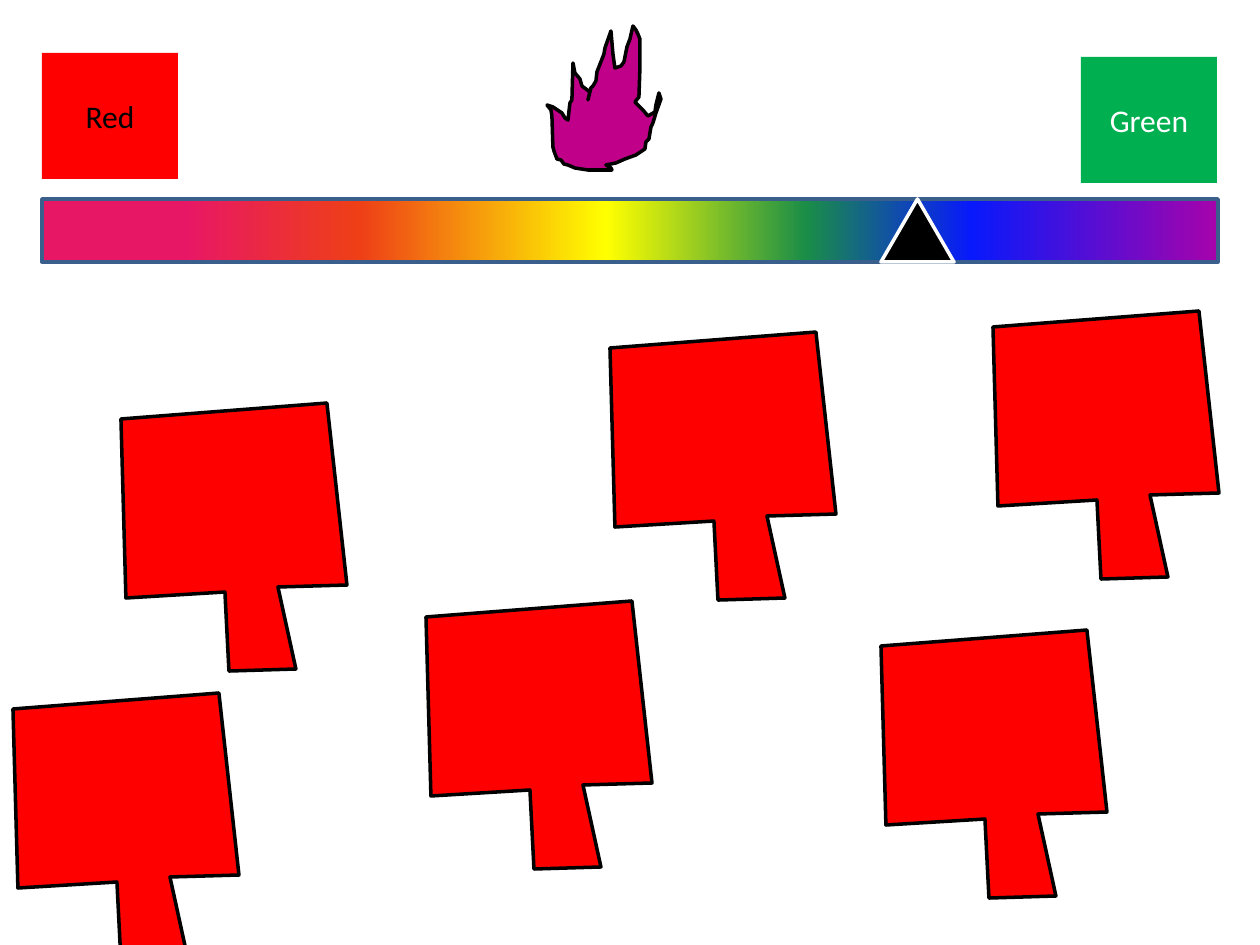
"""Build a colour slider slide with a flame and six red signs."""
from lxml.etree import SubElement as Sub
from pptx import Presentation
from pptx.dml.color import RGBColor as RGB
from pptx.enum.shapes import MSO_SHAPE as Kind
from pptx.enum.text import MSO_ANCHOR as Anchor, PP_ALIGN as Align
from pptx.oxml.ns import qn
from pptx.util import Pt

SCALE = 914400 / 126
SIZE = (1260, 945)
HUES = {"red": "FF0000", "green": "00B050", "black": "000000", "white": "FFFFFF",
        "edge": "3A5F8C", "flame": "C00089"}
CARDS = [("Red", (42, 53, 136, 126), "red", "black"),
         ("Green", (1081, 57, 136, 126), "green", "white")]
BAR = (42, 199, 1176, 63)
STOPS = [(0, "A603AB"), (21, "0819FB"), (35, "1A8D48"),
         (52, "FFFF00"), (73, "EE3F17"), (88, "E81766")]
MARK = (881, 199, 73, 63)
SIGN = [(0, 16), (5, 195), (104, 189), (108, 268),
        (175, 266), (157, 184), (226, 182), (206, 0)]
SPOTS = [(121, 403), (13, 693), (426, 601), (610, 332), (993, 311), (881, 630)]
FLAME = [
    (612, 170), (588, 170), (575, 168), (568, 165), (564, 164), (561, 160),
    (557, 159), (554, 151), (553, 147), (552, 116), (551, 110), (547, 105),
    (553, 107), (562, 113), (565, 118), (568, 120), (570, 103), (572, 100),
    (573, 63), (575, 73), (580, 79), (582, 86), (590, 92), (588, 100),
    (591, 88), (593, 86), (596, 81), (597, 72), (604, 54), (605, 48),
    (611, 31), (613, 54), (615, 68), (621, 66), (624, 62), (627, 47),
    (630, 39), (633, 26), (636, 30), (638, 34), (640, 39), (640, 68),
    (639, 97), (635, 102), (643, 110), (648, 116), (655, 112), (656, 105),
    (659, 93), (661, 99), (656, 113), (653, 123), (651, 127), (649, 139),
    (646, 142), (645, 149), (636, 155), (625, 159), (616, 163), (606, 165),
    (611, 168)]
FONT = {"name": "Calibri", "size": Pt(18)}


def emu(px):
    return round(px * SCALE)


def paint(shape, fill=None, line=None):
    shape.shadow.inherit = False
    if fill:
        shape.fill.solid()
        shape.fill.fore_color.rgb = RGB.from_string(HUES[fill])
    if line:
        shape.line.color.rgb = RGB.from_string(HUES[line])
        shape.line.width = Pt(2)
    else:
        shape.line.fill.background()
    return shape


def add(shapes, kind, box, fill=None, line=None):
    return paint(shapes.add_shape(kind, *map(emu, box)), fill, line)


def label(shape, text, hue):
    frame = shape.text_frame
    frame.vertical_anchor = Anchor.MIDDLE
    para = frame.paragraphs[0]
    para.alignment = Align.CENTER
    run = para.add_run()
    run.text = text
    for key, value in FONT.items():
        setattr(run.font, key, value)
    run.font.color.rgb = RGB.from_string(HUES[hue])


def blend(shape, stops):
    shape.fill.gradient()
    shape.fill.gradient_angle = 180
    group = next(shape.element.iter(qn("a:gsLst")))
    for old in list(group):
        group.remove(old)
    for pos, hue in stops:
        stop = Sub(group, qn("a:gs"), pos=str(pos * 1000))
        Sub(stop, qn("a:srgbClr"), val=hue)


def trace(shapes, dots, fill):
    pen = shapes.build_freeform(*dots[0], scale=SCALE)
    pen.add_line_segments(dots[1:], close=True)
    paint(pen.convert_to_shape(), fill, "black")


def main():
    deck = Presentation()
    deck.slide_width, deck.slide_height = map(emu, SIZE)
    shapes = deck.slides.add_slide(deck.slide_layouts[6]).shapes
    for text, box, fill, hue in CARDS:
        label(add(shapes, Kind.RECTANGLE, box, fill), text, hue)
    blend(add(shapes, Kind.RECTANGLE, BAR, line="edge"), STOPS)
    add(shapes, Kind.ISOSCELES_TRIANGLE, MARK, "black", "white")
    for left, top in SPOTS:
        trace(shapes, [(left + x, top + y) for x, y in SIGN], "red")
    trace(shapes, FLAME, "flame")
    deck.save("out.pptx")


if __name__ == "__main__":
    main()
